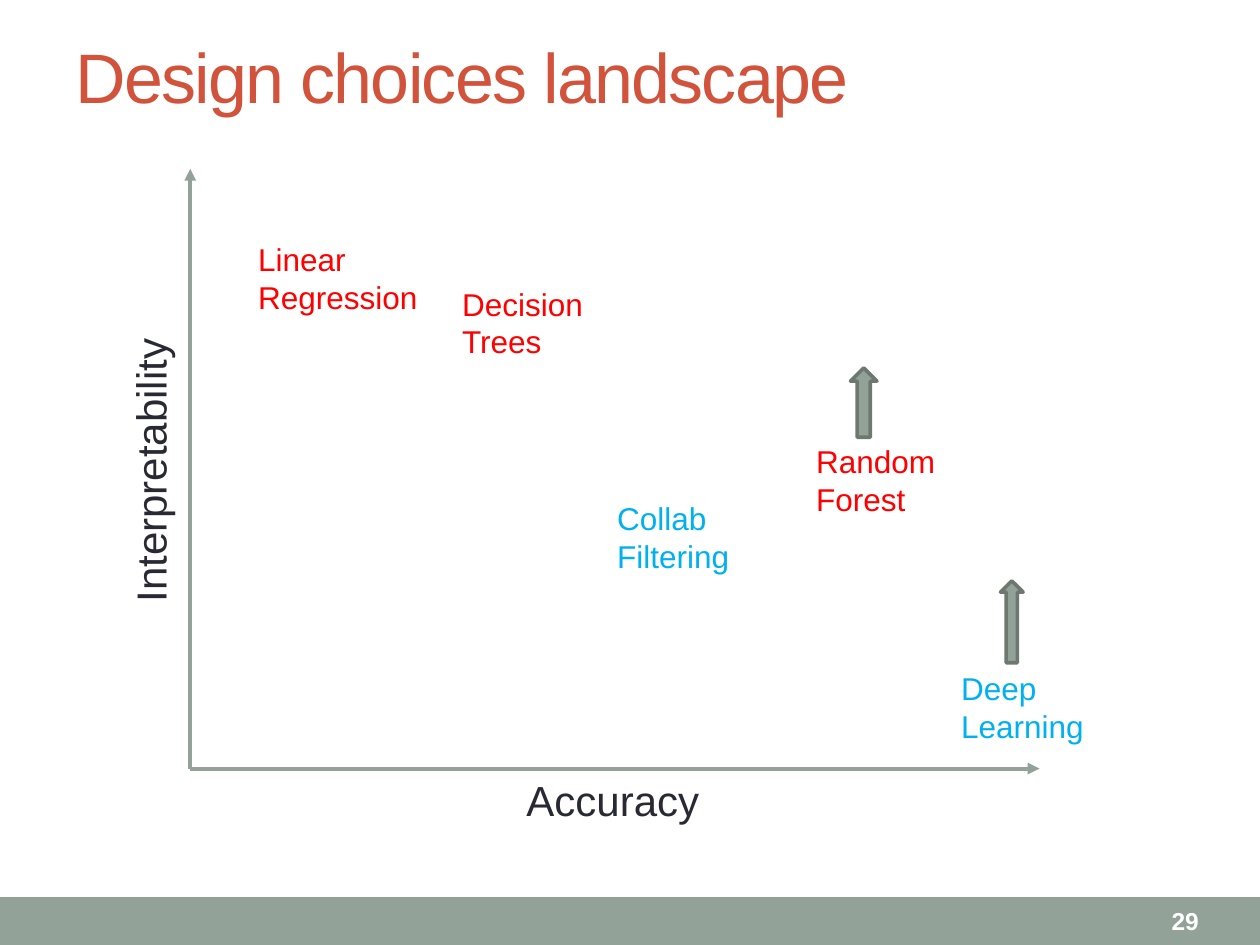
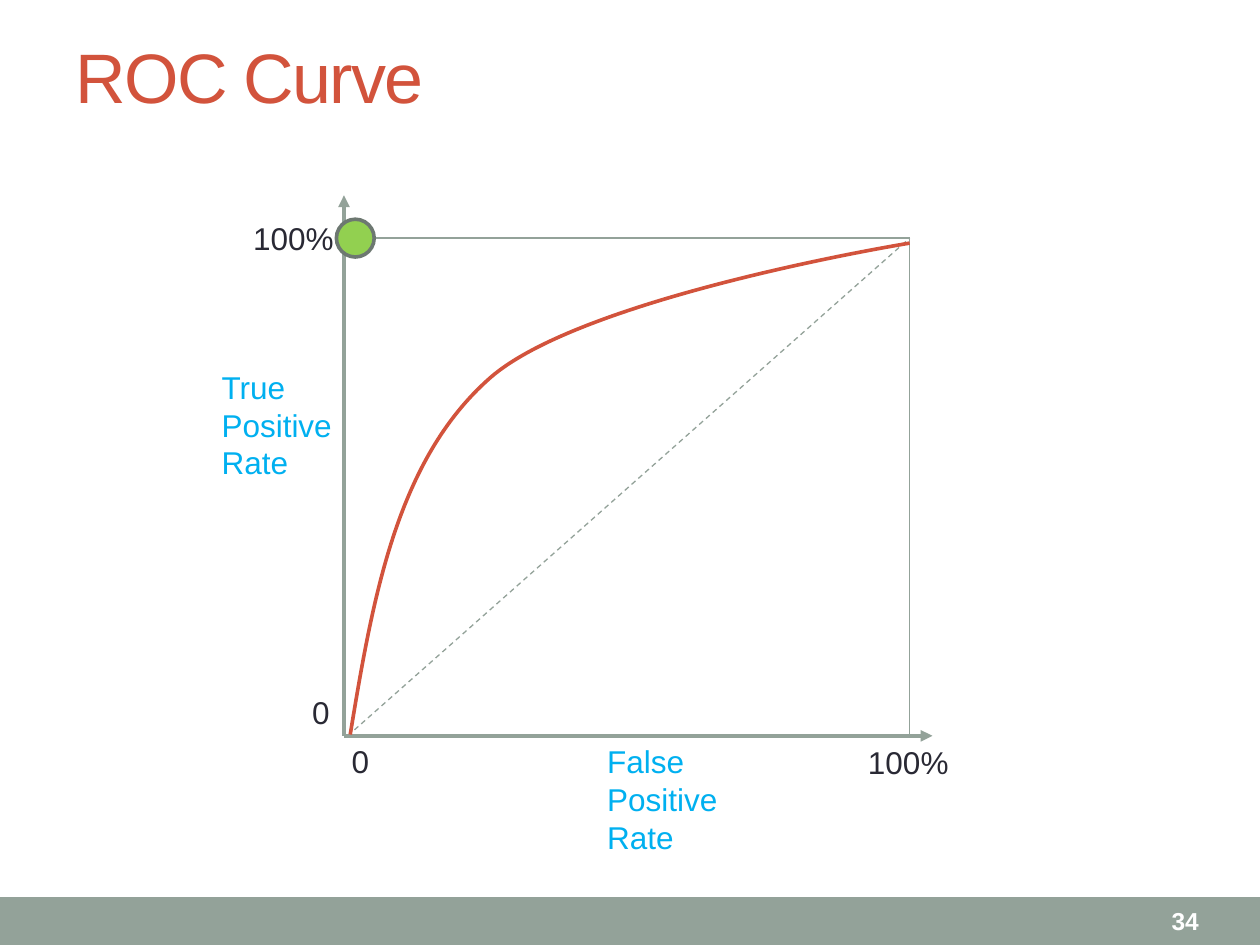
from dataclasses import dataclass

from lxml import etree
from pptx import Presentation
from pptx import util as u
from pptx.dml.color import RGBColor
from pptx.enum import dml, shapes, text
from pptx.oxml.ns import qn

COLORS = {
    "sage": "93A299",
    "sage_dark": "6D7871",
    "rust": "D2533C",
    "ink": "292934",
    "red": "FF0000",
    "sky": "00B0F0",
    "green": "92D050",
    "white": "FFFFFF",
}
FONT = "Arial"
TITLE_ONLY = 5


@dataclass
class Label:
    words: str
    left: float
    top: float
    width: float
    color: str = "ink"
    size: int = 18
    rotation: int = 0
    wrap: bool = False


@dataclass
class Line:
    start: tuple[float, float]
    end: tuple[float, float]
    width: float = 0.75
    arrow: bool = False
    dashed: bool = False


@dataclass
class Marker:
    kind: shapes.MSO_SHAPE
    left: float
    top: float
    width: float
    height: float
    fill: str = "sage"


MODELS = [
    Label("Linear\nRegression", 1.95, 1.86, 1.48, "red"),
    Label("Decision\nTrees", 3.57, 2.21, 1.24, "red"),
    Label("Random\nForest", 6.38, 3.46, 1.16, "red"),
    Label("Deep\nLearning", 7.53, 5.26, 1.18, "sky"),
    Label("Collab\nFiltering", 4.8, 3.91, 1.1, "sky"),
]
LANDSCAPE_AXES = [
    Label("Accuracy", 4.08, 6.1, 1.59, size=24),
    Label("Interpretability", 0.03, 3.47, 2.32, size=24, rotation=270),
]
IMPROVEMENTS = [
    Marker(shapes.MSO_SHAPE.UP_ARROW, 6.75, 2.92, 0.21, 0.55),
    Marker(shapes.MSO_SHAPE.UP_ARROW, 7.94, 4.61, 0.18, 0.65),
]
RATES = [
    Label("False\nPositive\nRate", 4.72, 5.84, 1.09, "sky"),
    Label("True\nPositive\nRate", 1.66, 2.87, 1.09, "sky"),
    Label("0", 2.72, 5.84, 0.17, wrap=True),
    Label("100%", 6.79, 5.85, 0.85),
    Label("0", 2.38, 5.45, 0.34),
    Label("100%", 1.91, 1.69, 0.85),
]
ROC_LEFT, ROC_RIGHT, ROC_TOP, ROC_BOTTOM = 2.76, 7.22, 1.89, 5.84
ROC_GUIDES = [
    Line((ROC_LEFT, ROC_TOP), (ROC_RIGHT, ROC_TOP)),
    Line((ROC_RIGHT, ROC_BOTTOM), (ROC_RIGHT, ROC_TOP)),
    Line((ROC_LEFT, ROC_BOTTOM), (ROC_RIGHT, ROC_TOP), dashed=True),
]
ROC_BEZIER = [
    (2.78, 5.83),
    (2.96, 4.74), (3.15, 3.65), (3.89, 3),
    (4.63, 2.35), (7.22, 1.93), (7.22, 1.93),
]
PERFECT_CLASSIFIER = Marker(shapes.MSO_SHAPE.OVAL, 2.67, 1.74, 0.3, 0.3, "green")


def rgb(name: str) -> RGBColor:
    return RGBColor.from_string(COLORS[name])


def set_line(line, color: str, width: float) -> None:
    line.color.rgb = rgb(color)
    line.width = u.Pt(width)


def format_runs(frame, color: str, size: int, bold: bool = False) -> None:
    for paragraph in frame.paragraphs:
        for run in paragraph.runs:
            run.font.name = FONT
            run.font.size = u.Pt(size)
            run.font.bold = bold
            run.font.color.rgb = rgb(color)


def draw_label(slide, label: Label) -> None:
    lines = label.words.count("\n") + 1
    height = 0.1 + lines * label.size / 60
    box = slide.shapes.add_textbox(
        u.Inches(label.left), u.Inches(label.top), u.Inches(label.width), u.Inches(height)
    )
    box.rotation = label.rotation
    frame = box.text_frame
    frame.text = label.words
    frame.word_wrap = label.wrap
    frame.auto_size = text.MSO_AUTO_SIZE.SHAPE_TO_FIT_TEXT
    format_runs(frame, label.color, label.size)


def draw_line(slide, line: Line) -> None:
    connector = slide.shapes.add_connector(
        shapes.MSO_CONNECTOR.STRAIGHT, *(u.Inches(v) for v in line.start + line.end)
    )
    set_line(connector.line, "sage", line.width)
    if line.dashed:
        connector.line.dash_style = dml.MSO_LINE.DASH
    if line.arrow:
        outline = connector.line._get_or_add_ln()
        etree.SubElement(outline, qn("a:tailEnd"), type="triangle")
    etree.SubElement(connector.element.spPr, qn("a:effectLst"))


def draw_axes(slide, origin: tuple[float, float], right: float, top: float) -> None:
    for end in ((right, origin[1]), (origin[0], top)):
        draw_line(slide, Line(origin, end, 2.25, arrow=True))


def draw_marker(slide, marker: Marker) -> None:
    shape = slide.shapes.add_shape(
        marker.kind,
        u.Inches(marker.left), u.Inches(marker.top),
        u.Inches(marker.width), u.Inches(marker.height),
    )
    shape.shadow.inherit = False
    shape.fill.solid()
    shape.fill.fore_color.rgb = rgb(marker.fill)
    set_line(shape.line, "sage_dark", 2.08)


def draw_bezier(slide, points: list[tuple[float, float]]) -> None:
    start, *rest = [(u.Inches(x), u.Inches(y)) for x, y in points]
    builder = slide.shapes.build_freeform(*start)
    builder.add_line_segments(rest, close=False)
    curve = builder.convert_to_shape()
    curve.shadow.inherit = False
    curve.fill.background()
    set_line(curve.line, "rust", 2.08)
    outline = curve.element.find(".//" + qn("a:path"))
    segments = outline.findall(qn("a:lnTo"))
    for first in range(0, len(segments), 3):
        bezier = etree.SubElement(outline, qn("a:cubicBezTo"))
        for segment in segments[first:first + 3]:
            bezier.append(segment[0])
            outline.remove(segment)


def add_band(layout, slide) -> None:
    band = slide.shapes.add_shape(
        shapes.MSO_SHAPE.RECTANGLE, 0, u.Inches(7.12), u.Inches(10), u.Inches(0.4)
    )
    band.shadow.inherit = False
    band.fill.solid()
    band.fill.fore_color.rgb = rgb("sage")
    band.line.fill.background()
    layout.shapes.element.insert(2, band.element)


def add_slide(deck, heading: str, number: int):
    slide = deck.slides.add_slide(deck.slide_layouts[TITLE_ONLY])
    title = slide.shapes.title
    title.left, title.top = u.Inches(0.5), u.Inches(0.06)
    title.width, title.height = u.Inches(9), u.Inches(1.08)
    frame = title.text_frame
    frame.text = heading
    frame.vertical_anchor = text.MSO_ANCHOR.MIDDLE
    frame.paragraphs[0].alignment = text.PP_ALIGN.LEFT
    format_runs(frame, "rust", 40)
    frame.paragraphs[0].runs[0].font._element.set("spc", "-100")

    page = slide.shapes.add_textbox(
        u.Inches(9.2), u.Inches(7.13), u.Inches(0.77), u.Inches(0.36)
    )
    page.text_frame.text = str(number)
    page.text_frame.word_wrap = True
    page.text_frame.vertical_anchor = text.MSO_ANCHOR.MIDDLE
    format_runs(page.text_frame, "white", 14, bold=True)
    return slide


def build_landscape(deck):
    slide = add_slide(deck, "Design choices landscape", 29)
    draw_axes(slide, (1.51, 6.1), right=8.25, top=1.34)
    for label in LANDSCAPE_AXES + MODELS:
        draw_label(slide, label)
    for improvement in IMPROVEMENTS:
        draw_marker(slide, improvement)
    return slide


def build_roc(deck) -> None:
    slide = add_slide(deck, "ROC Curve", 34)
    draw_axes(slide, (2.73, ROC_BOTTOM), right=7.4, top=1.55)
    for label in RATES:
        draw_label(slide, label)
    for guide in ROC_GUIDES:
        draw_line(slide, guide)
    draw_bezier(slide, ROC_BEZIER)
    draw_marker(slide, PERFECT_CLASSIFIER)


def main() -> None:
    deck = Presentation()
    deck.slide_width, deck.slide_height = u.Inches(10), u.Inches(7.5)
    landscape = build_landscape(deck)
    add_band(deck.slide_layouts[TITLE_ONLY], landscape)
    build_roc(deck)
    deck.save("out.pptx")


if __name__ == "__main__":
    main()
